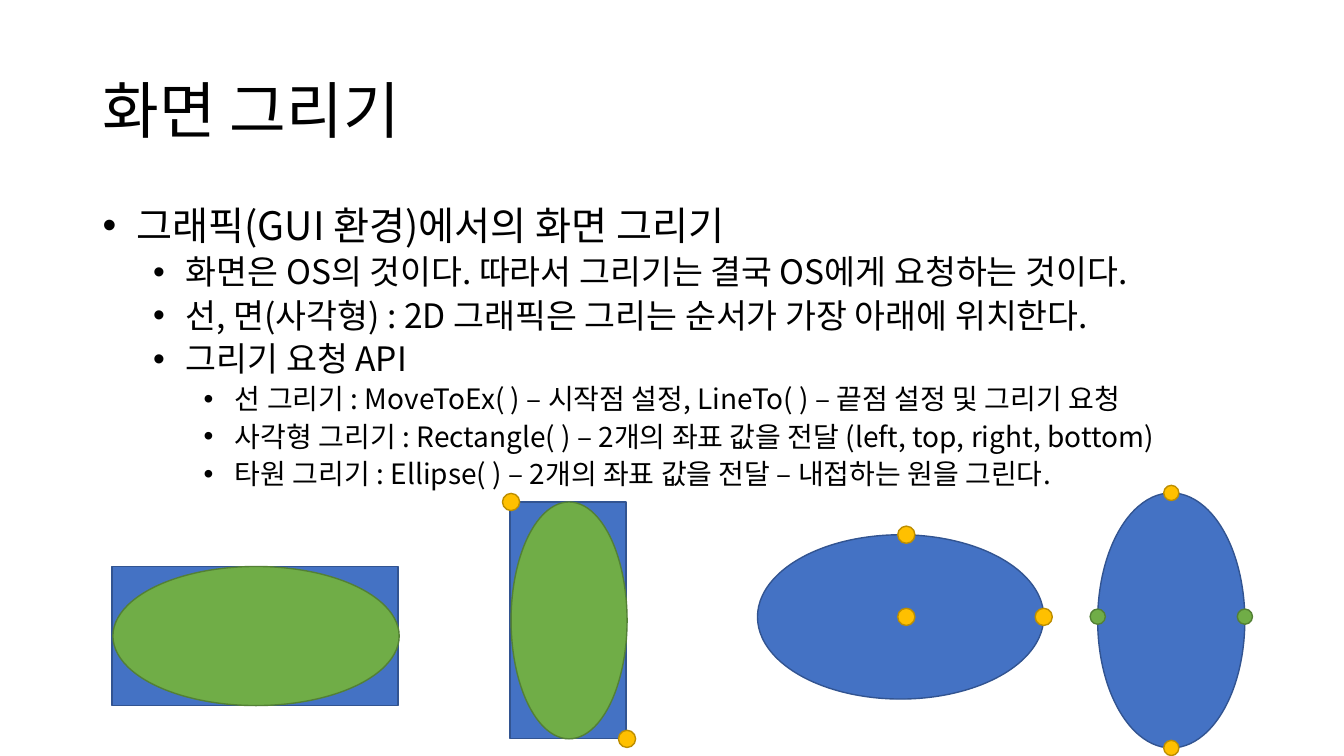
from dataclasses import dataclass

from lxml.etree import SubElement
from pptx import Presentation
from pptx.dml.color import RGBColor
from pptx.enum.shapes import MSO_SHAPE as Shape
from pptx.enum.text import MSO_ANCHOR as Anchor, MSO_AUTO_SIZE as AutoSize, PP_ALIGN as Align
from pptx.oxml.ns import qn
from pptx.util import Emu, Inches, Pt


@dataclass(frozen=True)
class Theme:
    font: str = "Noto Sans CJK KR"
    text: str = "000000"
    blue: tuple[str, str] = ("4472C4", "325491")
    green: tuple[str, str] = ("70AD47", "538035")
    gold: tuple[str, str] = ("FFC000", "BD8E00")
    title_size: int = 44
    body_sizes: tuple[int, ...] = (28, 24, 20)
    space_before: tuple[int, ...] = (10, 5, 5)
    line_spacing: float = 0.9


THEME = Theme()
WIDTH, HEIGHT = Inches(13.333), Inches(7.5)


@dataclass(frozen=True)
class Box:
    """Centre and size in percent of the slide's width and height."""
    cx: float
    cy: float
    w: float
    h: float


@dataclass(frozen=True)
class Mark:
    """Dot placed in half-widths and half-heights from a figure's centre."""
    dx: float
    dy: float
    colors: tuple[str, str] = THEME.gold


@dataclass(frozen=True)
class Figure:
    kind: Shape
    box: Box
    colors: tuple[str, str]
    turn: int = 0
    marks: tuple[Mark, ...] = ()
    mark_size: float = 0
    grouped: bool = False


TITLE = "화면 그리기"
TITLE_BOX = Box(50.03, 15, 86.25, 19.33)
BODY_BOX = Box(50.03, 58.4, 86.25, 63.47)
BULLETS = (
    (0, " 그래픽(GUI 환경)에서의 화면 그리기"),
    (1, " 화면은 OS의 것이다. 따라서 그리기는 결국 OS에게 요청하는 것이다."),
    (1, " 선, 면(사각형) : 2D 그래픽은 그리는 순서가 가장 아래에 위치한다."),
    (1, " 그리기 요청 API"),
    (2, " 선 그리기 : MoveToEx( ) – 시작점 설정, LineTo( ) – 끝점 설정 및 그리기 요청"),
    (2, " 사각형 그리기 : Rectangle( ) – 2개의 좌표 값을 전달 (left, top, right, bottom)"),
    (2, " 타원 그리기 : Ellipse( ) – 2개의 좌표 값을 전달 – 내접하는 원을 그린다."),
)
FIGURES = (
    Figure(Shape.OVAL, Box(67.01, 81.6, 21.3, 21.73), THEME.blue, 270,
           (Mark(0.04, 0), Mark(0.04, -1), Mark(1, 0)), 1.28, True),
    Figure(Shape.OVAL, Box(87.15, 82.07, 10.95, 33.73), THEME.blue, 0,
           (Mark(0, -1), Mark(0, 1), Mark(-1, -0.03, THEME.green),
            Mark(1, -0.03, THEME.green)), 1.13, True),
    Figure(Shape.RECTANGLE, Box(18.98, 84.13, 21.3, 18.4), THEME.blue),
    Figure(Shape.OVAL, Box(19.05, 84.13, 21.3, 18.4), THEME.green),
    Figure(Shape.RECTANGLE, Box(42.26, 82.07, 8.63, 31.33), THEME.blue, 90),
    Figure(Shape.OVAL, Box(42.34, 82.07, 8.63, 31.33), THEME.green, 90,
           (Mark(-1, -1), Mark(1, 1)), 1.28),
)


def frame(box: Box, turn: int = 0) -> dict[str, Emu]:
    """Return the frame that covers the box once it is turned."""
    w, h = WIDTH * box.w / 100, HEIGHT * box.h / 100
    if turn % 180:
        w, h = h, w
    left, top = WIDTH * box.cx / 100 - w / 2, HEIGHT * box.cy / 100 - h / 2
    return {"left": Emu(int(left)), "top": Emu(int(top)),
            "width": Emu(int(w)), "height": Emu(int(h))}


def apply(target, values: dict) -> None:
    for name, value in values.items():
        setattr(target, name, value)


def write(p, text: str, size: int, **paragraph_format) -> None:
    apply(p, {"alignment": Align.LEFT, "line_spacing": THEME.line_spacing,
              **paragraph_format})
    r = p.add_run()
    r.text = text
    apply(r.font, {"name": THEME.font, "size": Pt(size)})
    r.font.color.rgb = RGBColor.from_string(THEME.text)
    SubElement(r.font._element, qn("a:ea"), typeface=THEME.font)


def add_bullet(p, level: int) -> None:
    pPr = p._p.get_or_add_pPr()
    pPr.set("marL", str(Inches(0.25 + 0.5 * level)))
    pPr.set("indent", str(Inches(-0.25)))
    SubElement(pPr, qn("a:buFont"), typeface="Arial")
    SubElement(pPr, qn("a:buChar"), char="•")


def draw_title(s) -> None:
    title = s.shapes.title
    apply(title, frame(TITLE_BOX))
    tf = title.text_frame
    apply(tf, {"vertical_anchor": Anchor.MIDDLE, "auto_size": AutoSize.NONE})
    write(tf.paragraphs[0], TITLE, THEME.title_size)


def draw_body(s) -> None:
    tf = s.shapes.add_textbox(**frame(BODY_BOX)).text_frame
    apply(tf, {"word_wrap": True, "auto_size": AutoSize.NONE,
               "vertical_anchor": Anchor.TOP})
    for i, (level, text) in enumerate(BULLETS):
        p = tf.add_paragraph() if i else tf.paragraphs[0]
        write(p, text, THEME.body_sizes[level], level=level,
              space_before=Pt(THEME.space_before[level]))
        add_bullet(p, level)


def draw_shape(shapes, kind: Shape, box: Box, colors: tuple[str, str], turn: int = 0) -> None:
    sp = shapes.add_shape(kind, **frame(box, turn))
    sp.rotation = turn
    sp.shadow.inherit = False
    fill, line = map(RGBColor.from_string, colors)
    sp.fill.solid()
    sp.fill.fore_color.rgb = fill
    sp.line.color.rgb = line
    sp.line.width = Pt(1)


def draw_figure(s, figure: Figure) -> None:
    shapes = s.shapes.add_group_shape().shapes if figure.grouped else s.shapes
    box, size = figure.box, figure.mark_size
    draw_shape(shapes, figure.kind, box, figure.colors, figure.turn)
    for mark in figure.marks:
        dot = Box(box.cx + mark.dx * box.w / 2, box.cy + mark.dy * box.h / 2,
                  size, size * WIDTH / HEIGHT)
        draw_shape(shapes, Shape.OVAL, dot, mark.colors)


def main() -> None:
    prs = Presentation()
    apply(prs, {"slide_width": WIDTH, "slide_height": HEIGHT})
    s = prs.slides.add_slide(prs.slide_layouts.get_by_name("Title Only"))
    draw_title(s)
    draw_body(s)
    for figure in FIGURES:
        draw_figure(s, figure)
    prs.save("out.pptx")


if __name__ == "__main__":
    main()
